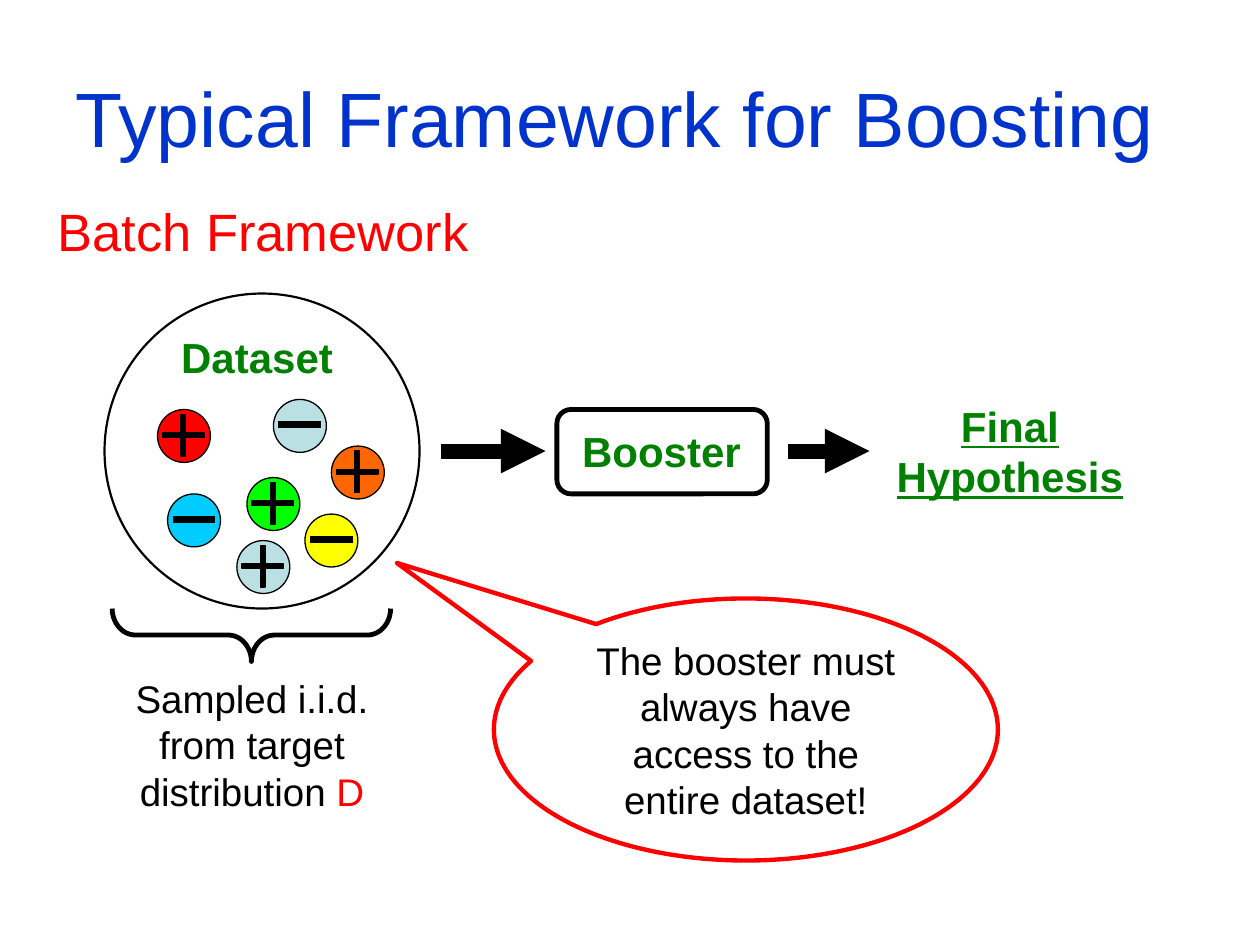
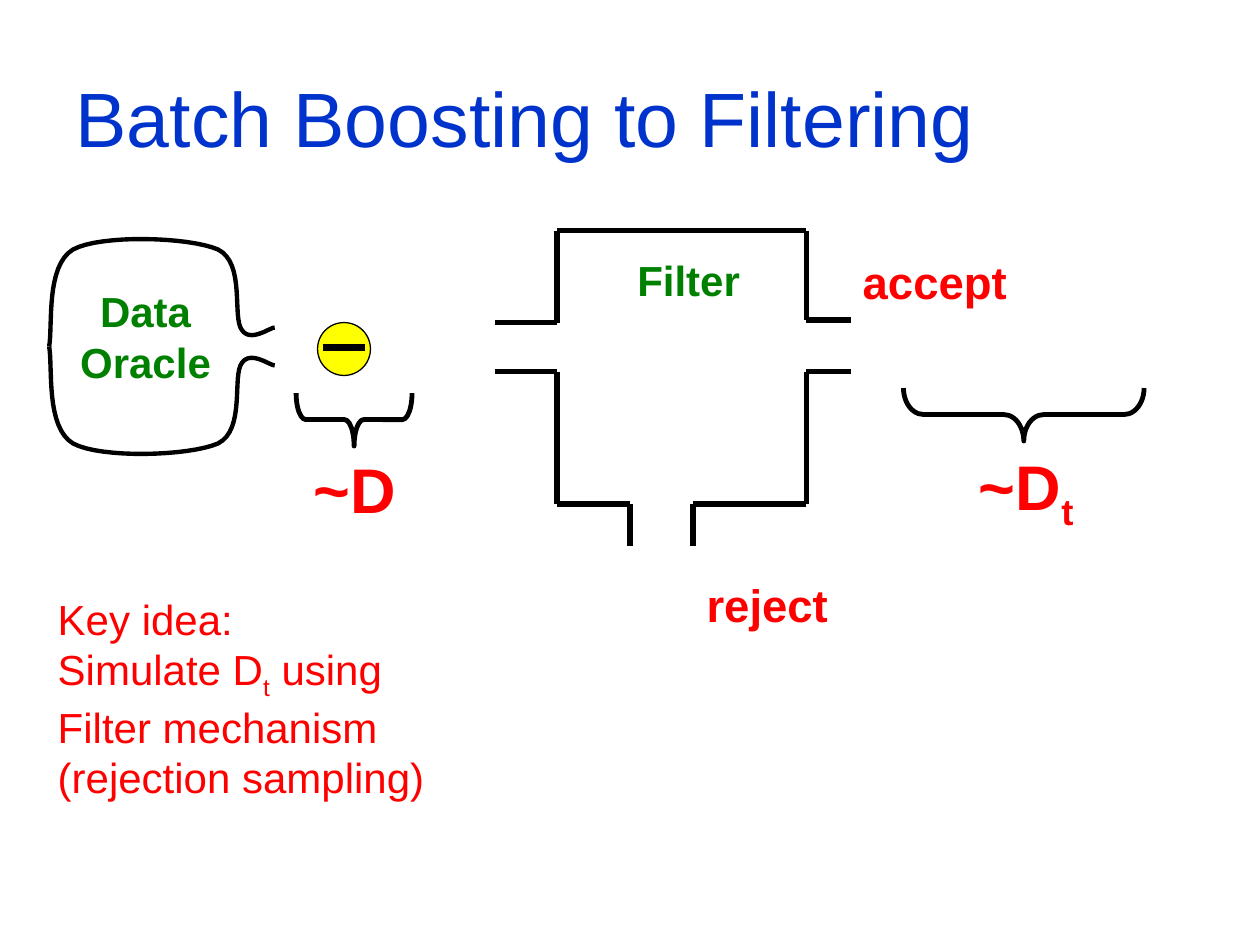
import itertools

import pptx
import pptx.util
import pptx.dml.color
import pptx.enum.shapes
import pptx.enum.text
import pptx.oxml

PX = 9144  # EMU in one px, 100 px to the inch
FONT = "Arial"
RGB = pptx.dml.color.RGBColor
BLUE = RGB(0x00, 0x33, 0xCC)
RED = RGB(0xFF, 0x00, 0x00)
GREEN = RGB(0x00, 0x80, 0x00)
BLACK = RGB(0x00, 0x00, 0x00)
PALE = RGB(0xBB, 0xE0, 0xE3)
ORANGE = RGB(0xFF, 0x66, 0x00)
SKY = RGB(0x00, 0xCC, 0xFF)
YELLOW = RGB(0xFF, 0xFF, 0x00)
LIME = RGB(0x00, 0xFF, 0x00)

Pt = pptx.util.Pt
KIND = pptx.enum.shapes.MSO_SHAPE
ALIGN = pptx.enum.text.PP_ALIGN
ANCHOR = pptx.enum.text.MSO_ANCHOR
SIZING = pptx.enum.text.MSO_AUTO_SIZE


def emu(*lengths):
    return [pptx.util.Emu(round(length * PX)) for length in lengths]


def element(tag, **values):
    item = pptx.oxml.parse_xml(
        f'<a:{tag} xmlns:a="http://schemas.openxmlformats.org/drawingml/2006/main"/>')
    for key, value in values.items():
        item.set(key, value)
    return item


def bezier(start, curves, steps=16):
    """Points along a chain of cubic curves, after the start point."""
    points = []
    for one, two, end in curves:
        for step in range(1, steps + 1):
            t = step / steps
            u = 1 - t
            points.append(tuple(
                u**3 * a + 3 * u * u * t * b + 3 * u * t * t * c + t**3 * d
                for a, b, c, d in zip(start, one, two, end)))
        start = end
    return points


class Deck:
    def __init__(self):
        self.show = pptx.Presentation()
        self.show.slide_width, self.show.slide_height = emu(1000, 750)

    def page(self, title):
        self.slide = self.show.slides.add_slide(self.show.slide_layouts[5])
        head = self.slide.shapes.title
        head.left, head.top, head.width, head.height = emu(50, 30, 900, 125)
        frame = head.text_frame
        frame.text = title
        frame.auto_size = SIZING.NONE
        frame.vertical_anchor = ANCHOR.MIDDLE
        self.style(frame, 44, BLUE, align=ALIGN.LEFT)

    def style(self, frame, size, color, bold=False, align=ALIGN.CENTER):
        for para in frame.paragraphs:
            para.alignment = align
            for run in para.runs:
                font = run.font
                font.name, font.size, font.bold = FONT, Pt(size), bold
                font.color.rgb = color

    def text(self, place, words, size, color, bold=False, align=ALIGN.CENTER):
        """Add a text box; | in the words starts a new run, a line break a new paragraph."""
        frame = self.slide.shapes.add_textbox(*emu(*place)).text_frame
        frame.word_wrap = True
        frame.auto_size = SIZING.SHAPE_TO_FIT_TEXT
        for index, line in enumerate(words.split("\n")):
            para = frame.add_paragraph() if index else frame.paragraphs[0]
            for part in line.split("|"):
                para.add_run().text = part
        self.style(frame, size, color, bold, align)
        return frame

    def lower(self, run):
        run.font._element.set("baseline", "-25000")

    def outline(self, shape, weight, color=BLACK, fill=None):
        shape.shadow.inherit = False
        shape.line.color.rgb = color
        shape.line.width = Pt(weight)
        if fill is None:
            shape.fill.background()
        else:
            shape.fill.solid()
            shape.fill.fore_color.rgb = fill

    def shape(self, kind, place, weight, color=BLACK, fill=None, adjust=()):
        shape = self.slide.shapes.add_shape(kind, *emu(*place))
        for index, value in enumerate(adjust):
            shape.adjustments[index] = value
        self.outline(shape, weight, color, fill)
        return shape

    def line(self, start, end, weight, arrow=False):
        line = self.slide.shapes.add_connector(
            pptx.enum.shapes.MSO_CONNECTOR.STRAIGHT, *emu(*start, *end))
        line.line.color.rgb = BLACK
        line.line.width = Pt(weight)
        if arrow:
            line.line._get_or_add_ln().append(element("tailEnd", type="triangle"))
        line._element.spPr.append(element("effectLst"))

    def walls(self, points):
        for start, end in itertools.pairwise(points):
            self.line(start, end, 3)

    def curve(self, start, curves):
        maker = self.slide.shapes.build_freeform(*emu(*start))
        points = [emu(*point) for point in bezier(start, curves)]
        maker.add_line_segments(points, close=False)
        self.outline(maker.convert_to_shape(), 2.5)

    def brace(self, left, top, width):
        """Brace opening upwards, with its point below."""
        depth = 42
        place = (left + (width - depth) / 2, top - (width - depth) / 2, depth, width)
        shape = self.shape(KIND.RIGHT_BRACE, place, 2.75, adjust=(width / depth / 12, 0.5))
        shape.rotation = 90

    def token(self, left, top, fill, plus):
        self.shape(KIND.OVAL, (left, top, 42, 42), 0.75, fill=fill)
        if plus:
            self.shape(KIND.CROSS, (left + 4, top + 4, 33, 33), 0.75,
                       fill=BLACK, adjust=(0.443,))
        else:
            self.line((left + 4, top + 20), (left + 38, top + 20), 4)


def batch(deck):
    deck.page("Typical Framework for Boosting")
    deck.text((32, 153, 354, 60), "Batch Framework", 30, RED)

    deck.line((350, 358), (433, 358), 8.5, arrow=True)
    deck.shape(KIND.ROUNDED_RECTANGLE, (442, 325, 167, 67), 2.75, adjust=(0.167,))
    deck.text((450, 333, 150, 50), "Booster", 24, GREEN, bold=True)
    deck.line((625, 358), (690, 358), 8.5, arrow=True)
    final = deck.text((690, 313, 223, 90), "Final Hypothesis", 24, GREEN, bold=True)
    final.paragraphs[0].runs[0].font.underline = True

    for left, top, fill, plus in (
            (188, 429, PALE, True), (217, 317, PALE, False), (125, 325, RED, True),
            (263, 354, ORANGE, True), (133, 392, SKY, False),
            (242, 408, YELLOW, False), (196, 379, LIME, True)):
        deck.token(left, top, fill, plus)
    deck.shape(KIND.OVAL, (83, 233, 250, 250), 1.25)
    deck.text((130, 258, 148, 50), "Dataset", 24, GREEN, bold=True)

    note = deck.shape(KIND.OVAL_CALLOUT, (392, 475, 400, 208), 2.5, RED,
                      adjust=(-0.693, -0.636)).text_frame
    note.text = "The booster must always have access to the entire dataset!"
    note.word_wrap = True
    note.vertical_anchor = ANCHOR.MIDDLE
    deck.style(note, 22, BLACK)

    deck.brace(89, 483, 221)
    sample = deck.text((66, 531, 268, 120),
                       "Sampled i.i.d. from target distribution |D", 22, BLACK)
    sample.paragraphs[0].runs[1].font.color.rgb = RED


def filtering(deck):
    deck.page("Batch Boosting to Filtering")
    deck.token(252, 256, YELLOW, False)

    deck.text((53, 222, 125, 90), "Data Oracle", 24, GREEN, bold=True)
    start = (218, 260)
    flask = (((214, 260), (199, 272), (192, 262)),
             ((184, 252), (195, 209), (173, 198)),
             ((150, 188), (80, 186), (58, 198)),
             ((36, 211), (42, 259), (39, 275)))

    def flip(point):
        return point[0], 550 - point[1]

    deck.curve(start, flask)
    deck.curve(flip(start), [[flip(point) for point in part] for part in flask])

    deck.text((484, 197, 125, 50), "Filter", 24, GREEN, bold=True)
    deck.walls([(393, 256), (442, 256), (442, 183), (640, 183), (640, 254), (675, 254)])
    deck.walls([(393, 295), (442, 295), (442, 400), (500, 400), (500, 433)])
    deck.walls([(675, 295), (640, 295), (640, 400), (550, 400), (550, 433)])

    deck.text((235, 353, 93, 70), "~D", 36, RED, bold=True)
    deck.brace(235, 312, 92)
    deck.text((547, 453, 124, 54), "reject", 26, RED, bold=True)
    deck.text((671, 197, 142, 54), "accept", 26, RED, bold=True)
    target = deck.text((763, 350, 103, 79), "~D|t", 36, RED, bold=True)
    deck.lower(target.paragraphs[0].runs[1])
    deck.brace(717, 308, 191)

    idea = deck.text((36, 466, 322, 176),
                     "Key idea:\nSimulate D|t| using Filter mechanism (rejection sampling)",
                     24, RED, align=ALIGN.LEFT)
    deck.lower(idea.paragraphs[1].runs[1])


def main():
    deck = Deck()
    batch(deck)
    filtering(deck)
    deck.show.save("out.pptx")


if __name__ == "__main__":
    main()
